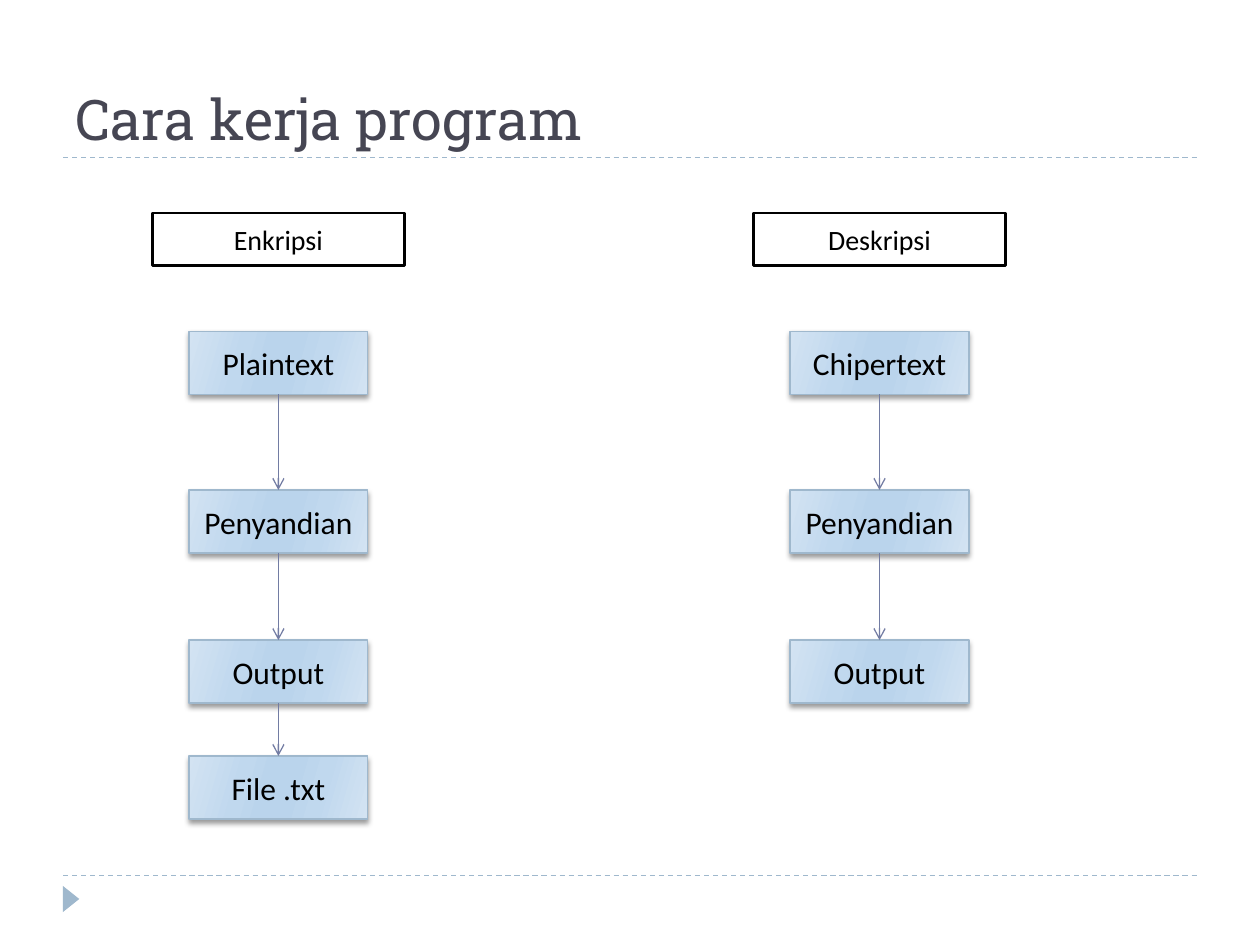
from itertools import pairwise

from lxml import etree
from pptx import Presentation
from pptx import util as u
from pptx.dml.color import RGBColor
from pptx.enum import dml, shapes, text
from pptx.oxml.ns import qn

Pt = u.Pt

BLACK = RGBColor(0x00, 0x00, 0x00)
WHITE = RGBColor(0xFF, 0xFF, 0xFF)
TITLE_COLOR = RGBColor(0x46, 0x46, 0x53)
PALE_BLUE = RGBColor(0x9F, 0xB8, 0xCD)
ARROW_BLUE = RGBColor(0x72, 0x7C, 0xA3)
BOX_EDGE = RGBColor(0xD3, 0xE3, 0xF2)
BOX_MID = RGBColor(0xC0, 0xD8, 0xEE)
BOX_CORE = RGBColor(0xBA, 0xD4, 0xEC)
BOX_STOPS = [(0, BOX_EDGE), (30, BOX_MID), (45, BOX_CORE),
             (55, BOX_CORE), (73, BOX_MID), (100, BOX_EDGE)]

HEADER_TOP, HEADER_WIDTH, HEADER_HEIGHT = 121.7, 144, 30
STEP_WIDTH, STEP_HEIGHT = 102.2, 36
STEP_TOPS = [189.4, 280, 365.8, 432]
FLOWS = [
    (159.1, "Enkripsi", ["Plaintext", "Penyandian", "Output", "File .txt"]),
    (502.6, "Deskripsi", ["Chipertext", "Penyandian", "Output"]),
]


def add_element(parent, tag, **attributes):
    return etree.SubElement(parent, qn(tag), attributes)


def write_text(shape, content, *, size, font="Calibri", color=BLACK,
               align=text.PP_ALIGN.CENTER, anchor=text.MSO_ANCHOR.MIDDLE):
    frame = shape.text_frame
    frame.word_wrap = True
    frame.vertical_anchor = anchor
    paragraph = frame.paragraphs[0]
    paragraph.alignment = align
    run = paragraph.add_run()
    run.text = content
    run.font.size = Pt(size)
    run.font.name = font
    run.font.color.rgb = color


def add_line(slide, start, end, color, dashed=False, arrow=False):
    line = slide.shapes.add_connector(
        shapes.MSO_CONNECTOR.STRAIGHT, *map(Pt, (*start, *end)))
    line.line.color.rgb = color
    line.line.width = Pt(0.75)
    if dashed:
        line.line.dash_style = dml.MSO_LINE.DASH
    if arrow:
        add_element(line.line._get_or_add_ln(), "a:tailEnd", type="arrow")
    add_element(line._element.spPr, "a:effectLst")


def add_box(slide, center, top, width, height, line_color, line_width):
    box = slide.shapes.add_shape(
        shapes.MSO_SHAPE.RECTANGLE,
        *map(Pt, (center - width / 2, top, width, height)))
    box.shadow.inherit = False
    box.line.color.rgb = line_color
    box.line.width = Pt(line_width)
    return box


def add_header(slide, center, label):
    box = add_box(slide, center, HEADER_TOP, HEADER_WIDTH, HEADER_HEIGHT,
                  BLACK, 1.5)
    box.fill.solid()
    box.fill.fore_color.rgb = WHITE
    write_text(box, label, size=16)


def add_step(slide, center, top, label):
    box = add_box(slide, center, top, STEP_WIDTH, STEP_HEIGHT, PALE_BLUE, 0.75)
    properties = box._element.spPr

    # Gradient, 16 degrees clockwise
    box.fill.gradient()
    box.fill.gradient_angle = 344
    stops = properties.find(".//" + qn("a:gsLst"))
    for stop in list(stops):
        stops.remove(stop)
    for position, color in BOX_STOPS:
        stop = add_element(stops, "a:gs", pos=str(position * 1000))
        add_element(stop, "a:srgbClr", val=str(color))

    # Soft shadow below
    shadow = add_element(
        properties.find(qn("a:effectLst")), "a:outerShdw",
        blurRad=str(Pt(3)), dist=str(Pt(2)), dir="5400000", rotWithShape="0")
    shade = add_element(shadow, "a:srgbClr", val=str(BLACK))
    add_element(shade, "a:alpha", val="40000")

    write_text(box, label, size=18)


def add_flow(slide, center, header, steps):
    add_header(slide, center, header)
    tops = STEP_TOPS[:len(steps)]
    for top, label in zip(tops, steps):
        add_step(slide, center, top, label)
    for upper, lower in pairwise(tops):
        add_line(slide, (center, upper + STEP_HEIGHT), (center, lower),
                 ARROW_BLUE, arrow=True)


def add_frame(slide):
    for y in (500.4, 90):
        add_line(slide, (36, y), (684, y), PALE_BLUE, dashed=True)
    marker = slide.shapes.add_shape(
        shapes.MSO_SHAPE.ISOSCELES_TRIANGLE, *map(Pt, (33.1, 509, 15, 9.4)))
    marker.rotation = 90
    marker.shadow.inherit = False
    marker.fill.solid()
    marker.fill.fore_color.rgb = PALE_BLUE
    marker.line.fill.background()


def main():
    presentation = Presentation()
    presentation.slide_width, presentation.slide_height = Pt(720), Pt(540)
    slide = presentation.slides.add_slide(presentation.slide_layouts[6])

    # Rules and corner marker
    add_frame(slide)

    # Title
    title = slide.shapes.add_textbox(*map(Pt, (36, 18, 648, 72)))
    write_text(title, "Cara kerja program", size=32, font="Roboto Slab",
               color=TITLE_COLOR, align=text.PP_ALIGN.LEFT,
               anchor=text.MSO_ANCHOR.BOTTOM)

    # Encryption and decryption flows
    for center, header, steps in FLOWS:
        add_flow(slide, center, header, steps)

    presentation.save("out.pptx")


if __name__ == "__main__":
    main()
